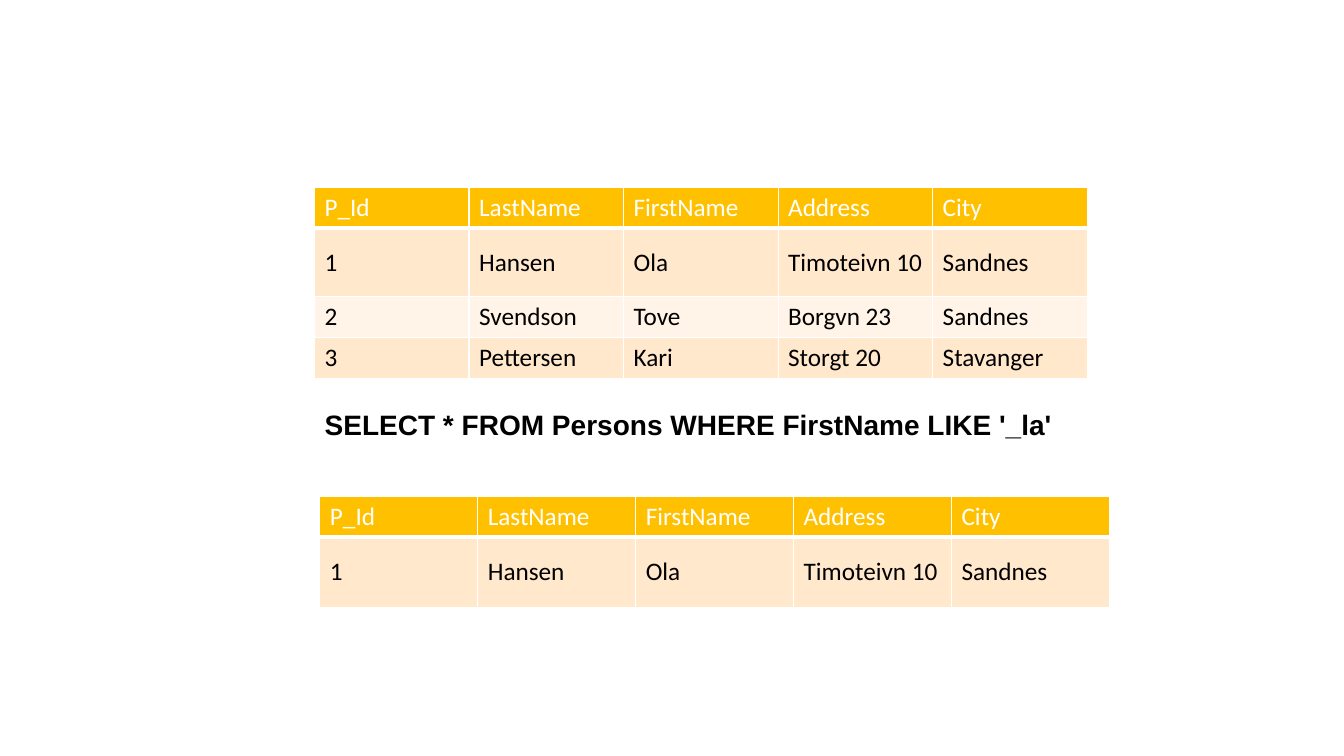
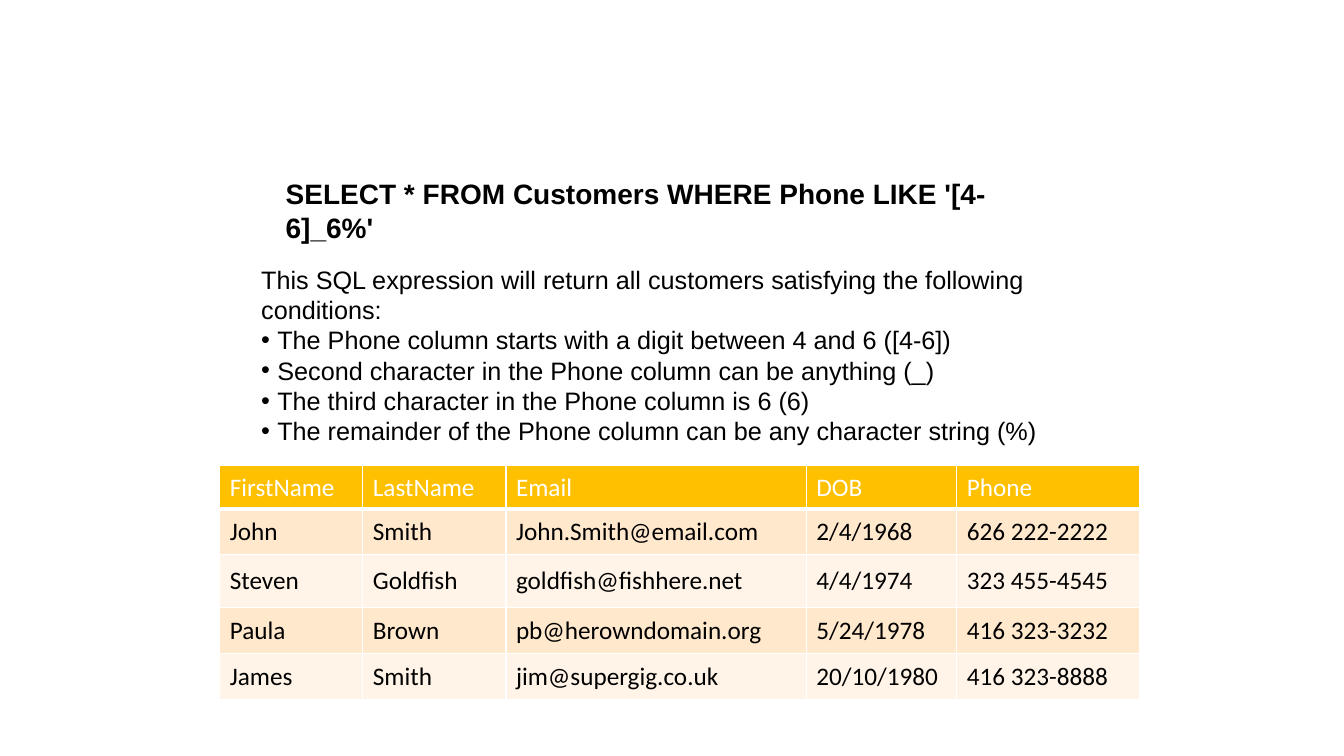
"""Build two slides on SQL LIKE patterns with their result tables."""
from dataclasses import dataclass

from lxml import etree
from pptx import Presentation
from pptx.dml.color import RGBColor
from pptx.enum.text import MSO_ANCHOR, MSO_AUTO_SIZE, PP_ALIGN
from pptx.oxml.ns import qn
from pptx.util import Inches, Pt

TOP = MSO_ANCHOR.TOP
MIDDLE = MSO_ANCHOR.MIDDLE
GROW = MSO_AUTO_SIZE.SHAPE_TO_FIT_TEXT
LEFT = PP_ALIGN.LEFT

WHITE = RGBColor(0xFF, 0xFF, 0xFF)
BLACK = RGBColor(0x00, 0x00, 0x00)
AMBER = RGBColor(0xFF, 0xC0, 0x00)
BAND_DARK = RGBColor(0xFF, 0xE8, 0xCC)
BAND_LIGHT = RGBColor(0xFF, 0xF4, 0xE7)

TEXT_FONT = "Arial"
TABLE_FONT = "Calibri"
TITLE_SIZE = 20
BODY_SIZE = 18
BULLET_INDENT = Inches(0.16)
SLIDE_W = Inches(13.33)
SLIDE_H = Inches(7.5)
TITLE_ONLY = 5


@dataclass(frozen=True)
class Box:
    """Place and size in percent of the slide."""
    left: float
    top: float
    width: float
    height: float

    def emu(self):
        return (across(self.left), down(self.top),
                across(self.width), down(self.height))


@dataclass(frozen=True)
class Grid:
    """A table with its tracks in percent of the slide."""
    left: float
    top: float
    cols: tuple[float, ...]
    rows: tuple[float, ...]
    data: tuple[tuple[str, ...], ...]


@dataclass(frozen=True)
class Page:
    """One slide: query, its place, tables and explanation."""
    query: str
    place: Box
    grids: tuple[Grid, ...]
    intro: str = ""
    points: tuple[str, ...] = ()


PERSONS = (
    ("P_Id", "LastName", "FirstName", "Address", "City"),
    ("1", "Hansen", "Ola", "Timoteivn 10", "Sandnes"),
    ("2", "Svendson", "Tove", "Borgvn 23", "Sandnes"),
    ("3", "Pettersen", "Kari", "Storgt 20", "Stavanger"),
)
CUSTOMERS = (
    ("FirstName", "LastName", "Email", "DOB", "Phone"),
    ("John", "Smith", "John.Smith@email.com", "2/4/1968", "626 222-2222"),
    ("Steven", "Goldfish", "goldfish@fishhere.net", "4/4/1974", "323 455-4545"),
    ("Paula", "Brown", "pb@herowndomain.org", "5/24/1978", "416 323-3232"),
    ("James", "Smith", "jim@supergig.co.uk", "20/10/1980", "416 323-8888"),
)
EXPLANATION = Box(18.7, 34.3, 62.6, 25.6)
PAGES = (
    Page(
        "SELECT * FROM Persons WHERE FirstName LIKE '_la'",
        Box(23.4, 53.2, 55.65, 5.9),
        (Grid(23.4, 24.8, (11.5,) * 5, (5.41, 9, 5.41, 5.41), PERSONS),
         Grid(23.8, 65.6, (11.75,) * 5, (5.41, 9.3), PERSONS[:2])),
    ),
    Page(
        "SELECT * FROM Customers WHERE Phone LIKE '[4-6]_6%'",
        Box(20.5, 22.7, 55, 10.3),
        (Grid(16.35, 61.6, (10.65, 10.65, 22.35, 11.2, 13.6),
              (5.75, 6, 7, 6.1, 6.1), CUSTOMERS),),
        "This SQL expression will return all customers satisfying "
        "the following conditions:",
        ("The Phone column starts with a digit between 4 and 6 ([4-6])",
         "Second character in the Phone column can be anything (_)",
         "The third character in the Phone column is 6 (6)",
         "The remainder of the Phone column can be any character string (%)"),
    ),
)


def across(share: float) -> int:
    return round(SLIDE_W * share / 100)


def down(share: float) -> int:
    return round(SLIDE_H * share / 100)


def add_run(p, text: str, size: int, font: str, color: RGBColor,
            bold: bool = False) -> None:
    r = p.add_run()
    r.text = text
    r.font.size = Pt(size)
    r.font.name = font
    r.font.bold = bold
    r.font.color.rgb = color


def add_query(slide, page: Page) -> None:
    sp = slide.shapes.title
    sp.left, sp.top, sp.width, sp.height = page.place.emu()
    tf = sp.text_frame
    tf.word_wrap = True
    tf.auto_size = GROW
    tf.vertical_anchor = TOP
    p = tf.paragraphs[0]
    p.alignment = LEFT
    add_run(p, page.query, TITLE_SIZE, TEXT_FONT, BLACK, bold=True)


def add_bullet(p) -> None:
    pPr = p._p.get_or_add_pPr()
    pPr.set("marL", str(BULLET_INDENT))
    pPr.set("indent", str(-BULLET_INDENT))
    etree.SubElement(pPr, qn("a:buFont"), typeface=TEXT_FONT)
    etree.SubElement(pPr, qn("a:buChar"), char="•")


def add_explanation(slide, page: Page) -> None:
    tf = slide.shapes.add_textbox(*EXPLANATION.emu()).text_frame
    tf.word_wrap = True
    tf.auto_size = GROW
    add_run(tf.paragraphs[0], page.intro, BODY_SIZE, TEXT_FONT, BLACK)
    for point in page.points:
        p = tf.add_paragraph()
        add_bullet(p)
        add_run(p, point, BODY_SIZE, TEXT_FONT, BLACK)


def set_borders(cell, bottom: int) -> None:
    tcPr = cell._tc.get_or_add_tcPr()
    widths = {"a:lnL": 1, "a:lnR": 1, "a:lnT": 1, "a:lnB": bottom}
    for i, (tag, width) in enumerate(widths.items()):
        ln = etree.Element(qn(tag), w=str(Pt(width)))
        fill = etree.SubElement(ln, qn("a:solidFill"))
        etree.SubElement(fill, qn("a:srgbClr"), val=str(WHITE))
        tcPr.insert(i, ln)


def add_grid(slide, grid: Grid) -> None:
    box = Box(grid.left, grid.top, sum(grid.cols), sum(grid.rows))
    table = slide.shapes.add_table(
        len(grid.rows), len(grid.cols), *box.emu()).table
    for col, share in zip(table.columns, grid.cols):
        col.width = across(share)
    for i, (row, share) in enumerate(zip(table.rows, grid.rows)):
        row.height = down(share)
        header = i == 0
        band = AMBER if header else BAND_DARK if i % 2 else BAND_LIGHT
        for cell, text in zip(row.cells, grid.data[i]):
            cell.fill.solid()
            cell.fill.fore_color.rgb = band
            cell.vertical_anchor = MIDDLE
            set_borders(cell, 3 if header else 1)
            add_run(cell.text_frame.paragraphs[0], text, BODY_SIZE,
                    TABLE_FONT, WHITE if header else BLACK)


def main() -> None:
    prs = Presentation()
    prs.slide_width, prs.slide_height = SLIDE_W, SLIDE_H
    for page in PAGES:
        slide = prs.slides.add_slide(prs.slide_layouts[TITLE_ONLY])
        add_query(slide, page)
        if page.intro:
            add_explanation(slide, page)
        for grid in page.grids:
            add_grid(slide, grid)
    prs.save("out.pptx")


if __name__ == "__main__":
    main()
